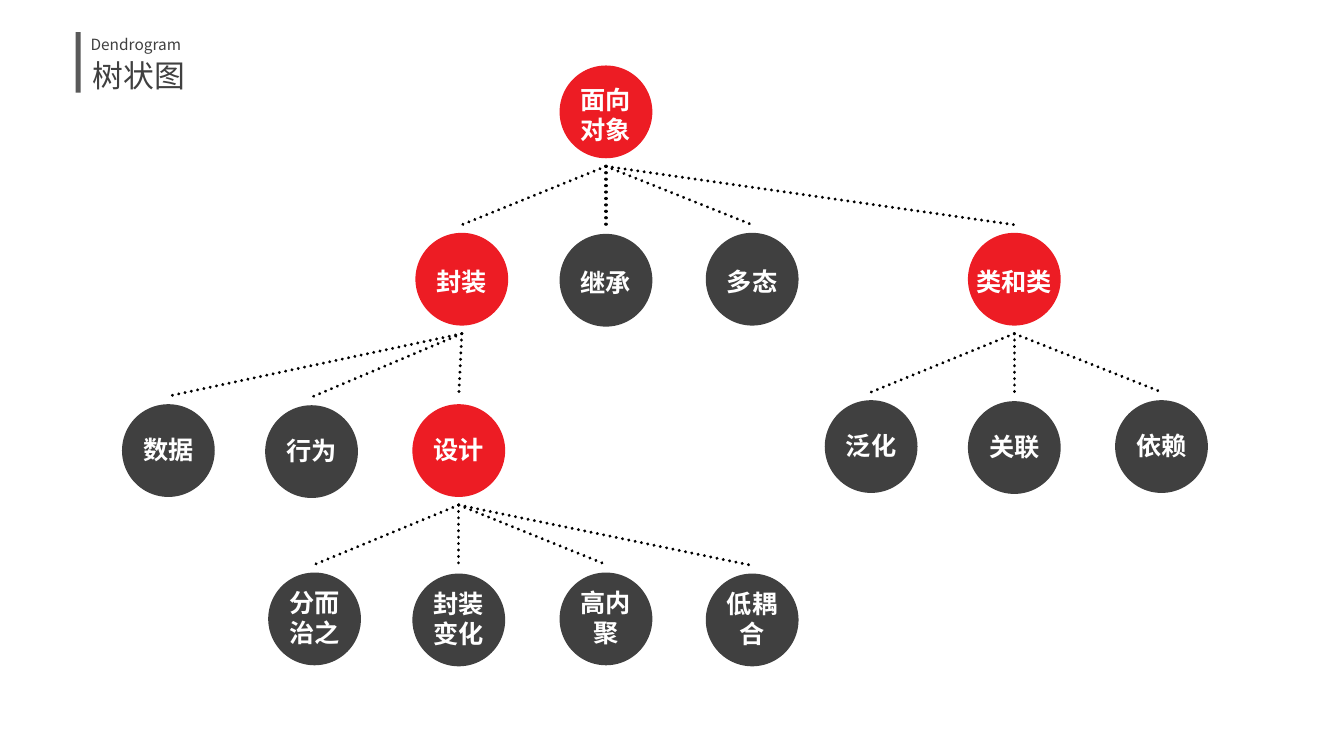
from dataclasses import dataclass

from lxml.etree import SubElement
from pptx import Presentation
from pptx.dml.color import RGBColor
from pptx.enum.dml import MSO_LINE
from pptx.enum.shapes import MSO_CONNECTOR, MSO_SHAPE
from pptx.enum.text import MSO_ANCHOR, PP_ALIGN
from pptx.oxml.ns import qn
from pptx.util import Inches, Pt


@dataclass(frozen=True)
class Theme:
    font: str = "Noto Sans CJK SC"
    branch: RGBColor = RGBColor(0xED, 0x1C, 0x24)
    dark: RGBColor = RGBColor(0x40, 0x40, 0x40)
    accent: RGBColor = RGBColor(0x59, 0x59, 0x59)
    light: RGBColor = RGBColor(0xFF, 0xFF, 0xFF)
    link: RGBColor = RGBColor(0, 0, 0)
    title_size: Pt = Pt(22)
    subtitle_size: Pt = Pt(11)
    node_size: Pt = Pt(18)
    node_leading: Pt = Pt(21.5)
    link_width: Pt = Pt(2.3)


theme = Theme()


def style(paragraph, size, color, bold=False, align=PP_ALIGN.LEFT):
    paragraph.alignment = align
    paragraph.font.name = theme.font
    paragraph.font.size = size
    paragraph.font.bold = bold
    paragraph.font.color.rgb = color
    for run in paragraph.runs:
        SubElement(run._r.get_or_add_rPr(), qn("a:ea")).set("typeface", theme.font)


def paint(shape, color):
    shape.shadow.inherit = False
    shape.fill.solid()
    shape.fill.fore_color.rgb = color
    shape.line.fill.background()


deck = Presentation()
deck.slide_width, deck.slide_height = Inches(13.33), Inches(7.5)
slide = deck.slides.add_slide(deck.slide_layouts[5])

title_bar = slide.shapes.add_shape(
    MSO_SHAPE.RECTANGLE, Inches(0.75), Inches(0.32), Inches(0.05), Inches(0.6))
paint(title_bar, theme.accent)

title = slide.shapes.title
title.left, title.top = Inches(0.82), Inches(0.52)
title.width, title.height = Inches(2.64), Inches(0.46)
title.text_frame.text = "树状图"
title.text_frame.vertical_anchor = MSO_ANCHOR.MIDDLE
style(title.text_frame.paragraphs[0], theme.title_size, theme.dark)

subtitle = slide.shapes.add_textbox(
    Inches(0.8), Inches(0.25), Inches(3.06), Inches(0.38)).text_frame
subtitle.word_wrap = True
subtitle.vertical_anchor = MSO_ANCHOR.MIDDLE
subtitle.text = "Dendrogram"
style(subtitle.paragraphs[0], theme.subtitle_size, theme.dark)

DIAMETER = 0.92
LINK_REACH = 0.54

nodes = {
    "面向\n对象": (6.01, 1.11, None),
    "封装": (4.58, 2.77, "面向\n对象"),
    "继承": (6.01, 2.78, "面向\n对象"),
    "多态": (7.46, 2.77, "面向\n对象"),
    "类和类": (10.06, 2.77, "面向\n对象"),
    "数据": (1.67, 4.47, "封装"),
    "行为": (3.09, 4.48, "封装"),
    "设计": (4.55, 4.47, "封装"),
    "泛化": (8.64, 4.43, "类和类"),
    "关联": (10.06, 4.44, "类和类"),
    "依赖": (11.52, 4.43, "类和类"),
    "分而\n治之": (3.12, 6.14, "设计"),
    "封装\n变化": (4.55, 6.15, "设计"),
    "高内\n聚": (6.01, 6.14, "设计"),
    "低耦\n合": (7.46, 6.15, "设计"),
}
parents = {parent for _, _, parent in nodes.values()}

for label, (x, y, parent) in nodes.items():
    if parent:
        parent_x, parent_y, _ = nodes[parent]
        link = slide.shapes.add_connector(
            MSO_CONNECTOR.STRAIGHT,
            Inches(parent_x), Inches(parent_y + LINK_REACH),
            Inches(x), Inches(y - LINK_REACH))
        link.line.color.rgb = theme.link
        link.line.width = theme.link_width
        link.line.dash_style = MSO_LINE.ROUND_DOT
        link_properties = link._element.spPr
        link_properties.find(qn("a:ln")).set("cap", "rnd")
        SubElement(link_properties, qn("a:effectLst"))

    node = slide.shapes.add_shape(
        MSO_SHAPE.OVAL, Inches(x - DIAMETER / 2), Inches(y - DIAMETER / 2),
        Inches(DIAMETER), Inches(DIAMETER))
    paint(node, theme.branch if label in parents else theme.dark)
    caption = node.text_frame
    caption.word_wrap = False
    caption.vertical_anchor = MSO_ANCHOR.MIDDLE
    caption.margin_left = caption.margin_right = 0
    upper_level = y < 4
    caption.margin_top = Inches(0.05 if upper_level else 0)
    caption.margin_bottom = Inches(0 if upper_level else 0.03)
    caption.text = label
    for line in caption.paragraphs:
        line.line_spacing = theme.node_leading
        style(line, theme.node_size, theme.light, True, PP_ALIGN.CENTER)

deck.save("out.pptx")
